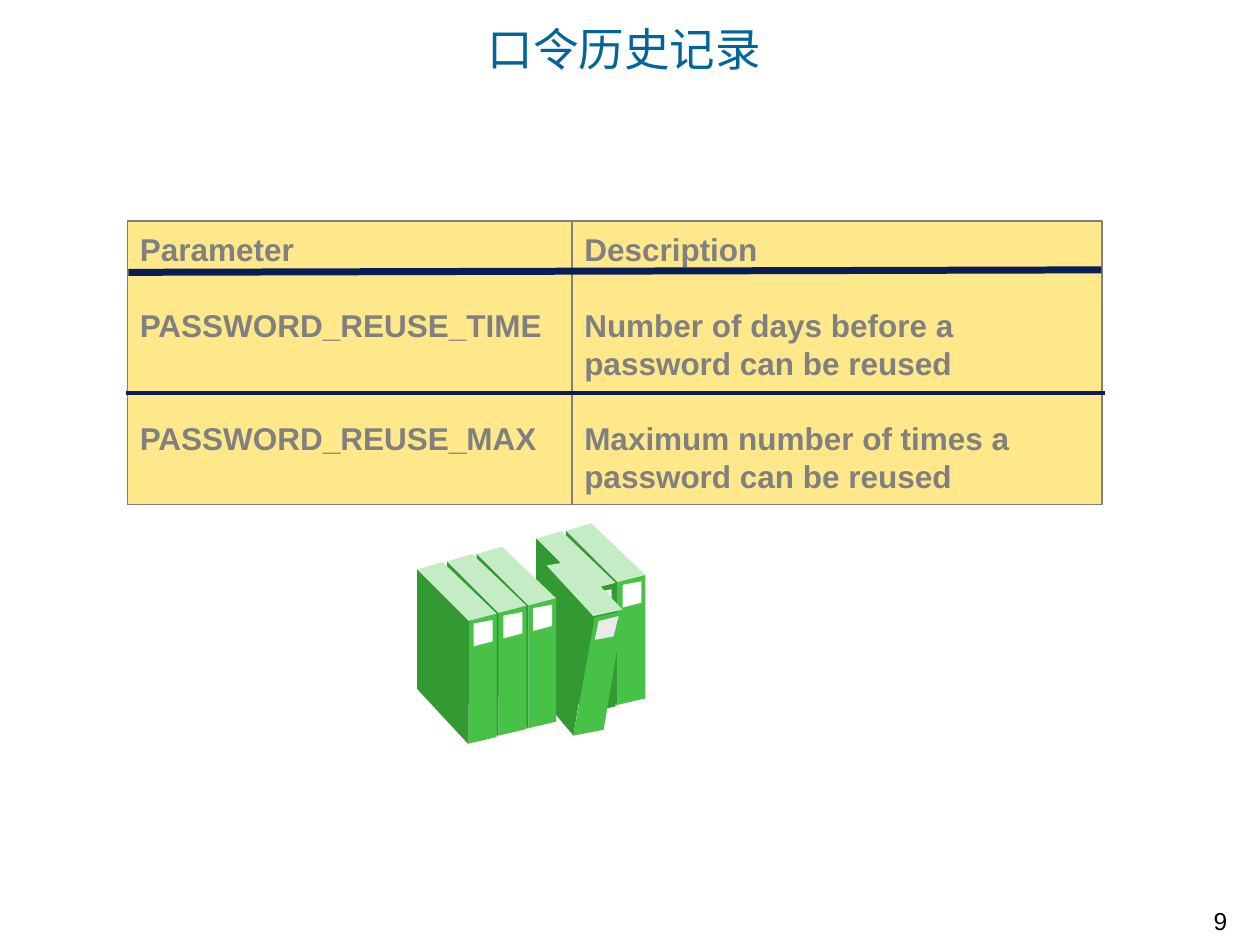
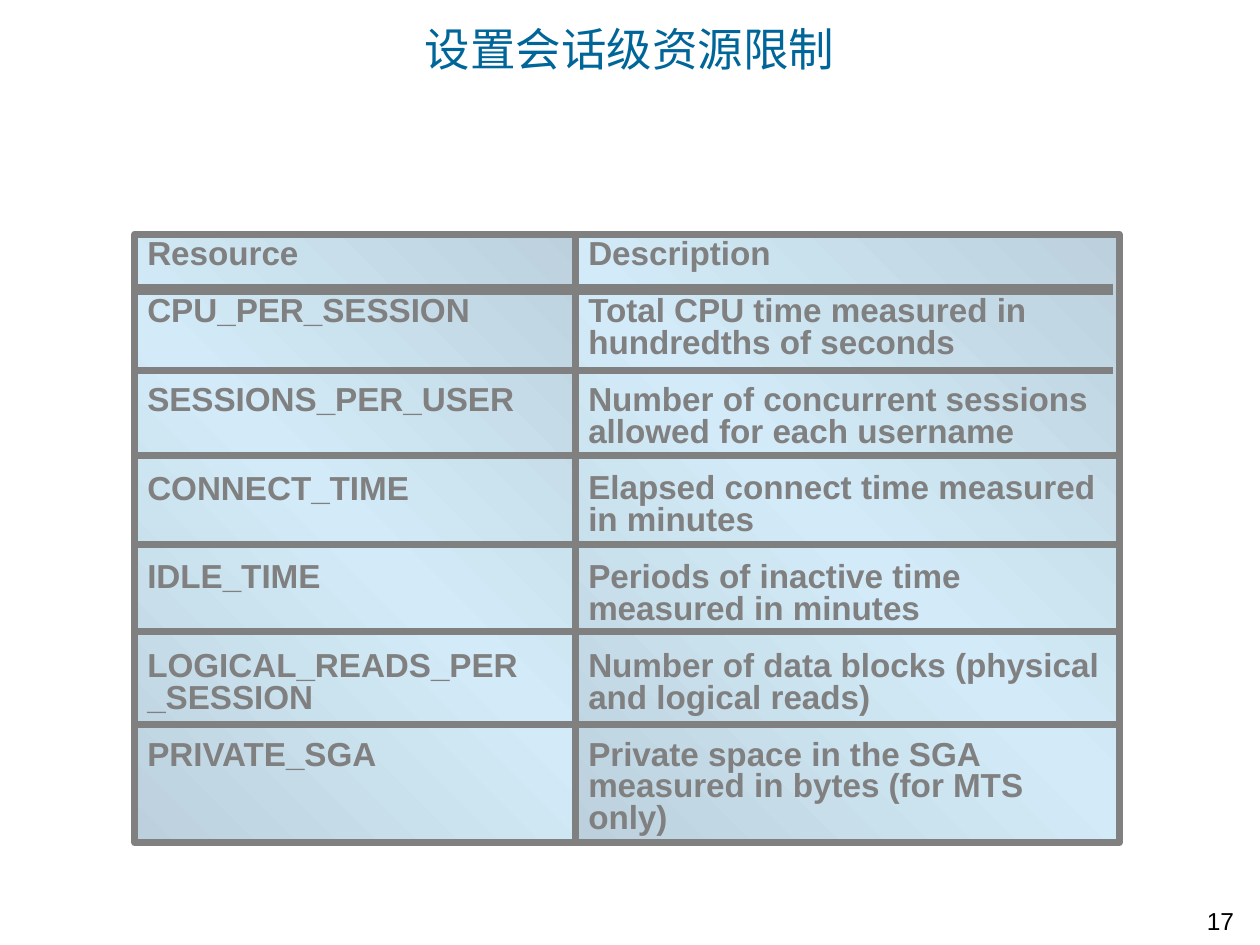
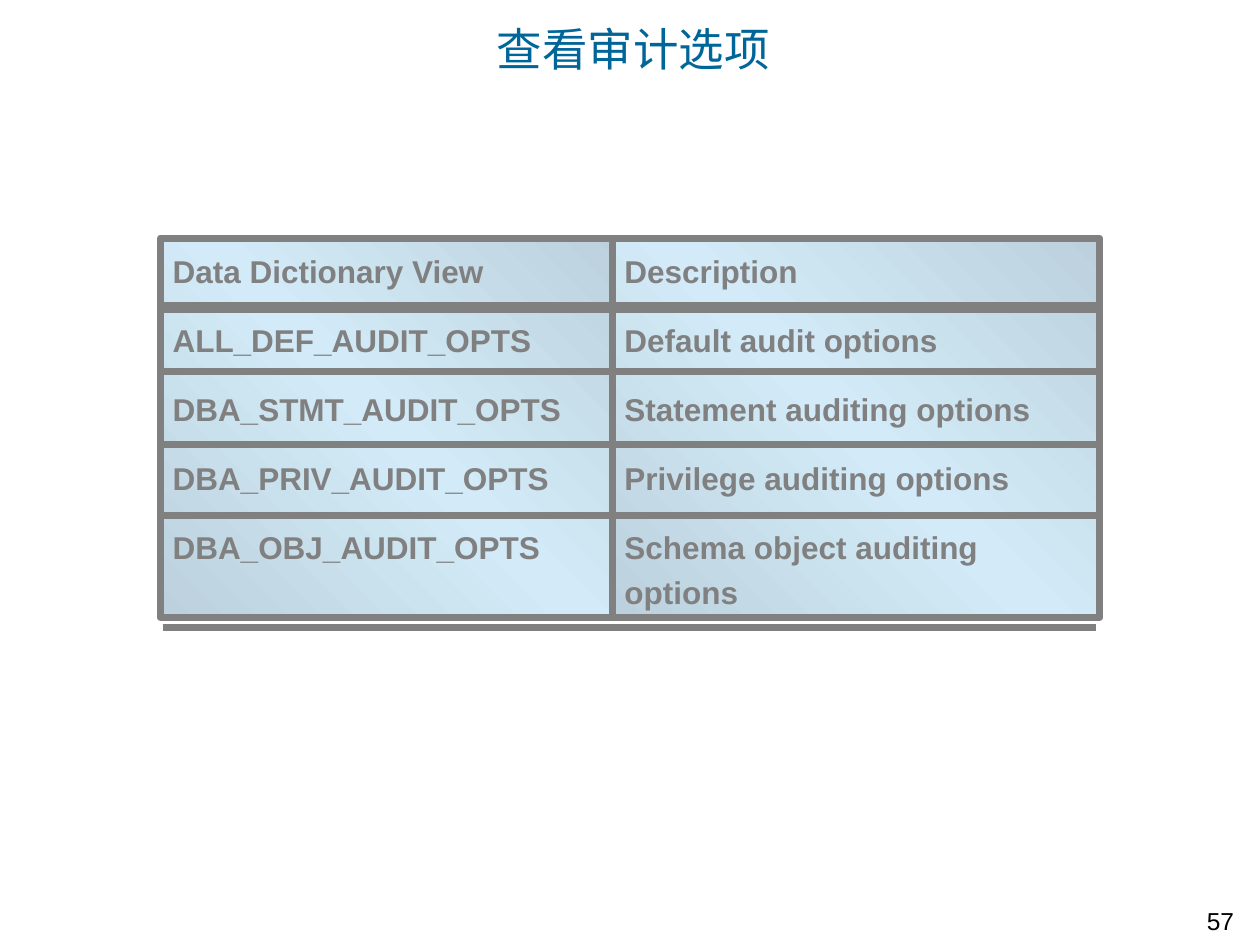
from copy import deepcopy

from pptx import Presentation
from pptx import util as u
from pptx.dml.color import RGBColor
from pptx.enum import shapes, text
from pptx.oxml import ns, xmlchemy

FONT = "Arial"
BLUE, GRAY, NAVY, BLACK = "006699", "808080", "081D58", "000000"
SAND = ["FFE88A"]
SKY = ["BCD1DD", "D3EAF8", "BCD1DD"]
FACE, TOP, SIDE, WHITE, PALE = "47C247", "C6ECC6", "339933", "FFFFFF", "EAEAEA"


def paint(item, code):
    """Give a solid fill or a font its colour."""
    if hasattr(item, "solid"):
        item.solid()
        item.fore_color.rgb = RGBColor.from_string(code)
    else:
        item.color.rgb = RGBColor.from_string(code)


def style(par, size, code, bold=False):
    par.font.name, par.font.size, par.font.bold = FONT, u.Pt(size), bold
    paint(par.font, code)


# Slide content: lengths in cm; a row is name, description, free lines under the name
pages = [
    dict(
        title="口令历史记录", indent=6.02, num="9",
        cols=[(2.57, 8.97), (11.53, 10.69)], top=4.45, high=5.72,
        fill=SAND, edge=1, wrap=False, inset=0.19, size=18, lead=21.6, gap=21.6,
        rules=[(2.59, 5.49, 22.2, 5.44, 4), (2.54, 7.92, 22.28, 7.92, 2)], ink=NAVY,
        rows=[
            ("Parameter", "Description", 0),
            ("PASSWORD_REUSE_TIME", "Number of days before a\vpassword can be reused", 1),
            ("PASSWORD_REUSE_MAX", "Maximum number of times a\vpassword can be reused", 1),
        ],
    ),
    dict(
        title="设置会话级资源限制", indent=4.75, num="17",
        cols=[(2.72, 9.04), (11.61, 10.95)], top=4.72, high=12.27,
        fill=SKY, edge=4, wrap=True, inset=0.13, size=19, lead=18.2, gap=14.3,
        rules=[(2.77, 5.84, 22.43, 5.84, 6), (2.77, 7.47, 22.43, 7.47, 4)]
        + [(2.77, y, 22.5, y, 4) for y in (9.19, 10.97, 12.73, 14.61)], ink=GRAY,
        rows=[
            ("Resource", "Description", 0),
            ("CPU_PER_SESSION", "Total CPU time measured in hundredths of seconds", 1),
            ("SESSIONS_PER_USER", "Number of concurrent sessions allowed for each username", 1),
            ("CONNECT_TIME", "Elapsed connect time measured in minutes", 1),
            ("IDLE_TIME", "Periods of inactive time measured in minutes", 1),
            ("LOGICAL_READS_PER _SESSION", "Number of data blocks (physical and logical reads)", 0),
            ("PRIVATE_SGA", "Private space in the SGA measured in bytes (for MTS only)", 2),
        ],
    ),
    dict(
        title="查看审计选项", indent=6.2, num="57",
        cols=[(3.23, 9.42), (12.34, 9.83)], top=4.8, high=7.65,
        fill=SKY, edge=4, wrap=True, inset=0.13, size=18, lead=25.9, gap=13.5,
        rules=[(3.28, 6.2, 22.12, 6.2, 6)]
        + [(3.28, y, 22.1, y, 4) for y in (7.49, 8.97, 10.39, 12.65)], ink=GRAY,
        rows=[
            ("Data Dictionary View", "Description", 0),
            ("ALL_DEF_AUDIT_OPTS", "Default audit options", 0),
            ("DBA_STMT_AUDIT_OPTS", "Statement auditing options", 0),
            ("DBA_PRIV_AUDIT_OPTS", "Privilege auditing options", 0),
            ("DBA_OBJ_AUDIT_OPTS", "Schema object auditing options", 1),
        ],
    ),
]

deck = Presentation()
deck.slide_width, deck.slide_height = u.Cm(25.4), u.Cm(19.05)

for page in pages:
    slide = deck.slides.add_slide(deck.slide_layouts[5])

    # Title
    title = slide.shapes.title
    title.left, title.top, title.width, title.height = map(u.Cm, (3.81, 0.64, 21.59, 1.7))
    frame = title.text_frame
    frame.text = page["title"]
    frame.auto_size = text.MSO_AUTO_SIZE.NONE
    frame.vertical_anchor = text.MSO_ANCHOR.MIDDLE
    frame.margin_left, frame.margin_bottom = u.Cm(page["indent"]), u.Cm(1.17)
    frame.paragraphs[0].alignment = text.PP_ALIGN.LEFT
    style(frame.paragraphs[0], 26, BLUE)

    # Page number
    num = slide.shapes.add_textbox(*map(u.Cm, (23.22, 18.14, 2.77, 0.86)))
    num.text_frame.text = page["num"]
    num.text_frame.paragraphs[0].alignment = text.PP_ALIGN.CENTER
    style(num.text_frame.paragraphs[0], 14, BLACK)

    # Column boxes
    for col, (left, wide) in enumerate(page["cols"]):
        box = slide.shapes.add_shape(
            shapes.MSO_SHAPE.RECTANGLE,
            *map(u.Cm, (left, page["top"], wide, page["high"])))
        box.shadow.inherit = False
        box.line.width = u.Pt(page["edge"])
        paint(box.line.fill, GRAY)
        if len(page["fill"]) == 1:
            paint(box.fill, page["fill"][0])
        else:
            box.fill.gradient()
            box.fill.gradient_angle = 225
            stops = box.element.spPr.find(ns.qn("a:gradFill")).find(ns.qn("a:gsLst"))
            mid = deepcopy(stops[0])
            mid.set("pos", "50000")
            stops.insert(1, mid)
            for stop, code in zip(box.fill.gradient_stops, page["fill"]):
                paint(stop, code)

        frame = box.text_frame
        frame.word_wrap = page["wrap"]
        frame.vertical_anchor = text.MSO_ANCHOR.TOP
        frame.margin_top = u.Cm(page["inset"])
        free = 0
        for i, row in enumerate(page["rows"]):
            par = frame.paragraphs[0] if i == 0 else frame.add_paragraph()
            par.text = row[col]
            par.alignment = text.PP_ALIGN.LEFT
            par.line_spacing = u.Pt(page["lead"])
            if i:
                par.space_before = u.Pt(page["gap"] + free * page["lead"])
            free = row[2] if col == 0 else 0
            style(par, page["size"], GRAY, True)

    # Row rules
    for *ends, width in page["rules"]:
        rule = slide.shapes.add_connector(shapes.MSO_CONNECTOR.STRAIGHT, *map(u.Cm, ends))
        rule.line.width = u.Pt(width)
        paint(rule.line.fill, page["ink"])
        rule.element.spPr.append(xmlchemy.OxmlElement("a:effectLst"))

# Books on the first slide, in hundredths of a cm
book = [
    (FACE, [(1001, 1237), (1001, 1486), (945, 1499), (945, 1250)]),
    (TOP, [(943, 1252), (841, 1148), (892, 1133), (1001, 1237)]),
    (SIDE, [(945, 1252), (945, 1501), (841, 1389), (841, 1148)]),
    (WHITE, [(955, 1257), (993, 1250), (993, 1293), (955, 1303)]),
]
tilted = [
    (FACE, [(1257, 1232), (1217, 1471), (1156, 1483), (1199, 1245)]),
    (SIDE, [(1196, 1242), (1156, 1483), (1067, 1377), (1105, 1146)]),
    (TOP, [(1196, 1242), (1102, 1140), (1161, 1130), (1255, 1229)]),
    (PALE, [(1199, 1290), (1207, 1252), (1247, 1242), (1237, 1283)]),
]
shaded = [(SIDE, book[0][1]), book[1], book[2], (PALE, book[3][1])]
shelf = [(book, 5), (shaded, 4), (tilted, 0), (book, 2), (book, 1), (book, 0)]

group = deck.slides[0].shapes.add_group_shape()
for parts, place in shelf:
    for code, points in parts:
        spots = [(x + 60 * place, round(y - 15.6 * place)) for x, y in points]
        pen = group.shapes.build_freeform(*spots[0], scale=u.Cm(0.01))
        pen.add_line_segments(spots[1:], close=True)
        part = pen.convert_to_shape()
        part.shadow.inherit = False
        part.line.fill.background()
        paint(part.fill, code)

deck.save("out.pptx")
